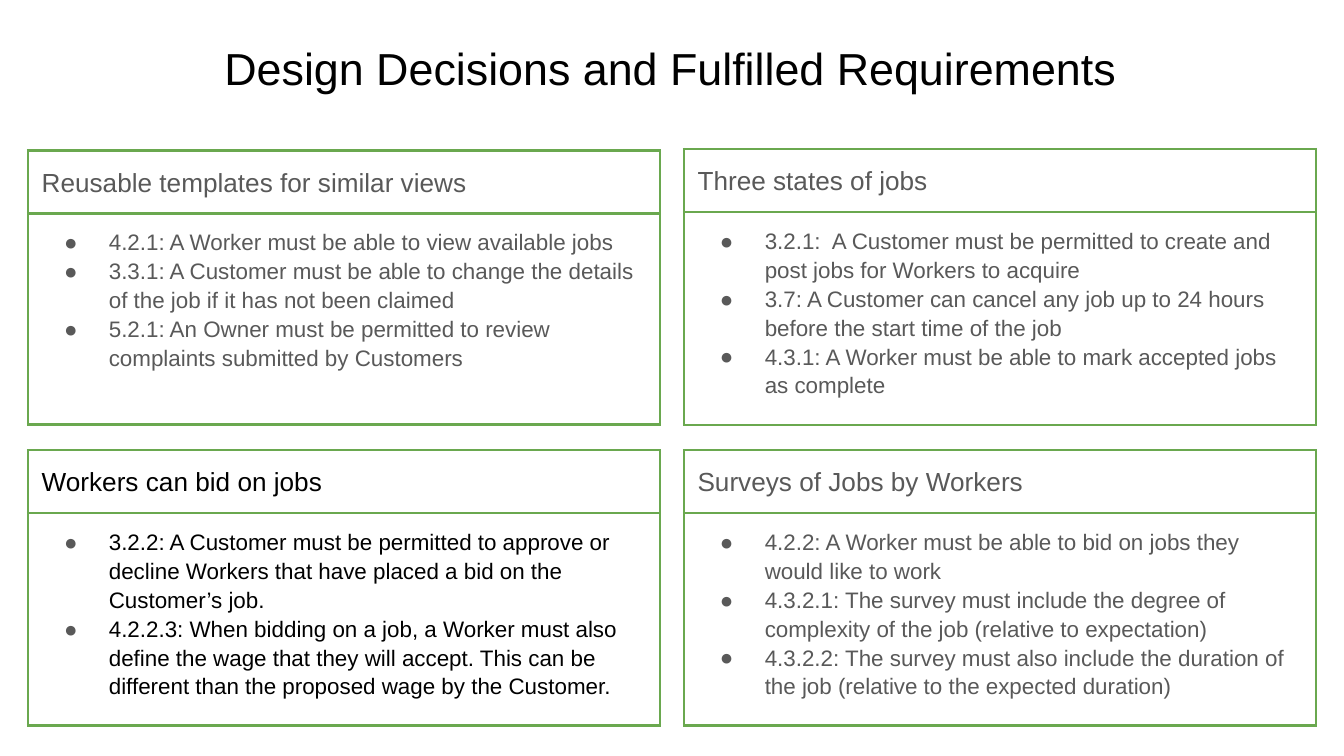
from dataclasses import dataclass

from lxml.etree import SubElement
from pptx import Presentation
from pptx.dml.color import RGBColor
from pptx.enum.text import MSO_ANCHOR, MSO_AUTO_SIZE, PP_ALIGN
from pptx.oxml.ns import qn
from pptx.util import Pt


@dataclass(frozen=True)
class Theme:
    font: str = "Arial"
    black: str = "000000"
    grey: str = "595959"
    green: str = "6AA84F"
    title_size: int = 24
    heading_size: int = 14
    body_size: int = 12
    border: float = 1.5
    inset: float = 7.2
    line_spacing: float = 1.15


THEME = Theme()

# Card grid, in points
COLUMNS = (15.1, 366.5)
CARD_WIDTH = 338.4
HEADING_HEIGHT = 32.4

# left, top, body height, text colour, heading, requirements
CARDS = [
    (COLUMNS[0], 80.6, 113.2, THEME.grey, "Reusable templates for similar views", [
        "4.2.1: A Worker must be able to view available jobs",
        "3.3.1: A Customer must be able to change the details of the job if it has not been claimed",
        "5.2.1: An Owner must be permitted to review complaints submitted by Customers",
    ]),
    (COLUMNS[0], 241.2, 113.2, THEME.black, "Workers can bid on jobs", [
        "3.2.2: A Customer must be permitted to approve or decline Workers that have placed "
        "a bid on the Customer’s job.",
        "4.2.2.3: When bidding on a job, a Worker must also define the wage that they will accept. "
        "This can be different than the proposed wage by the Customer.",
    ]),
    (COLUMNS[1], 79.9, 114.2, THEME.grey, "Three states of jobs", [
        "3.2.1:\tA Customer must be permitted to create and post jobs for Workers to acquire",
        "3.7: A Customer can cancel any job up to 24 hours before the start time of the job",
        "4.3.1: A Worker must be able to mark accepted jobs as complete",
    ]),
    (COLUMNS[1], 241.2, 113.2, THEME.grey, "Surveys of Jobs by Workers", [
        "4.2.2: A Worker must be able to bid on jobs they would like to work",
        "4.3.2.1: The survey must include the degree of complexity of the job "
        "(relative to expectation)",
        "4.3.2.2: The survey must also include the duration of the job "
        "(relative to the expected duration)",
    ]),
]


def apply_format(target, values):
    for name, value in values.items():
        setattr(target, name, value)


def insets():
    return {f"margin_{side}": Pt(THEME.inset) for side in ("left", "top", "right", "bottom")}


def write(paragraph, text, size, colour):
    run = paragraph.add_run()
    run.text = text
    apply_format(run.font, {"name": THEME.font, "size": Pt(size), "bold": False})
    run.font.color.rgb = RGBColor.from_string(colour)


def add_bullet(paragraph):
    properties = paragraph._p.get_or_add_pPr()
    properties.set("marL", str(Pt(36)))
    properties.set("indent", str(Pt(-24)))
    bullet_colour = SubElement(properties, qn("a:buClr"))
    SubElement(bullet_colour, qn("a:srgbClr"), val=THEME.grey)
    SubElement(properties, qn("a:buFont"), typeface=THEME.font)
    SubElement(properties, qn("a:buChar"), char="●")


def style_cell(cell):
    properties = cell._tc.get_or_add_tcPr()
    for edge in ("lnL", "lnR", "lnT", "lnB"):
        line = SubElement(properties, qn(f"a:{edge}"), w=str(Pt(THEME.border)))
        fill = SubElement(line, qn("a:solidFill"))
        SubElement(fill, qn("a:srgbClr"), val=THEME.green)
    cell.fill.background()
    apply_format(cell, {**insets(), "vertical_anchor": MSO_ANCHOR.TOP})


def add_title(slide, text):
    title = slide.shapes.title
    apply_format(title, {"left": Pt(113), "top": Pt(14.4), "width": Pt(493.2), "height": Pt(43.9)})
    apply_format(title.text_frame, {
        **insets(),
        "word_wrap": True,
        "auto_size": MSO_AUTO_SIZE.SHAPE_TO_FIT_TEXT,
        "vertical_anchor": MSO_ANCHOR.TOP,
    })
    paragraph = title.text_frame.paragraphs[0]
    paragraph.alignment = PP_ALIGN.LEFT
    write(paragraph, text, THEME.title_size, THEME.black)


def add_card(slide, left, top, body_height, colour, heading, requirements):
    card = slide.shapes.add_table(
        2, 1, Pt(left), Pt(top), Pt(CARD_WIDTH), Pt(HEADING_HEIGHT + body_height)
    ).table
    apply_format(card, {"first_row": False, "horz_banding": False})
    for row, height in zip(card.rows, (HEADING_HEIGHT, body_height)):
        row.height = Pt(height)
        style_cell(row.cells[0])

    # Heading row
    paragraph = card.cell(0, 0).text_frame.paragraphs[0]
    apply_format(paragraph, {"line_spacing": THEME.line_spacing, "space_after": Pt(12)})
    write(paragraph, heading, THEME.heading_size, colour)

    # Requirements row
    body = card.cell(1, 0).text_frame
    for index, requirement in enumerate(requirements):
        paragraph = body.add_paragraph() if index else body.paragraphs[0]
        paragraph.line_spacing = THEME.line_spacing
        add_bullet(paragraph)
        write(paragraph, requirement, THEME.body_size, colour)


def main():
    presentation = Presentation()
    apply_format(presentation, {"slide_width": Pt(720), "slide_height": Pt(405)})
    title_only = presentation.slide_layouts[5]
    slide = presentation.slides.add_slide(title_only)
    add_title(slide, "Design Decisions and Fulfilled Requirements")
    for card in CARDS:
        add_card(slide, *card)
    presentation.save("out.pptx")


if __name__ == "__main__":
    main()
